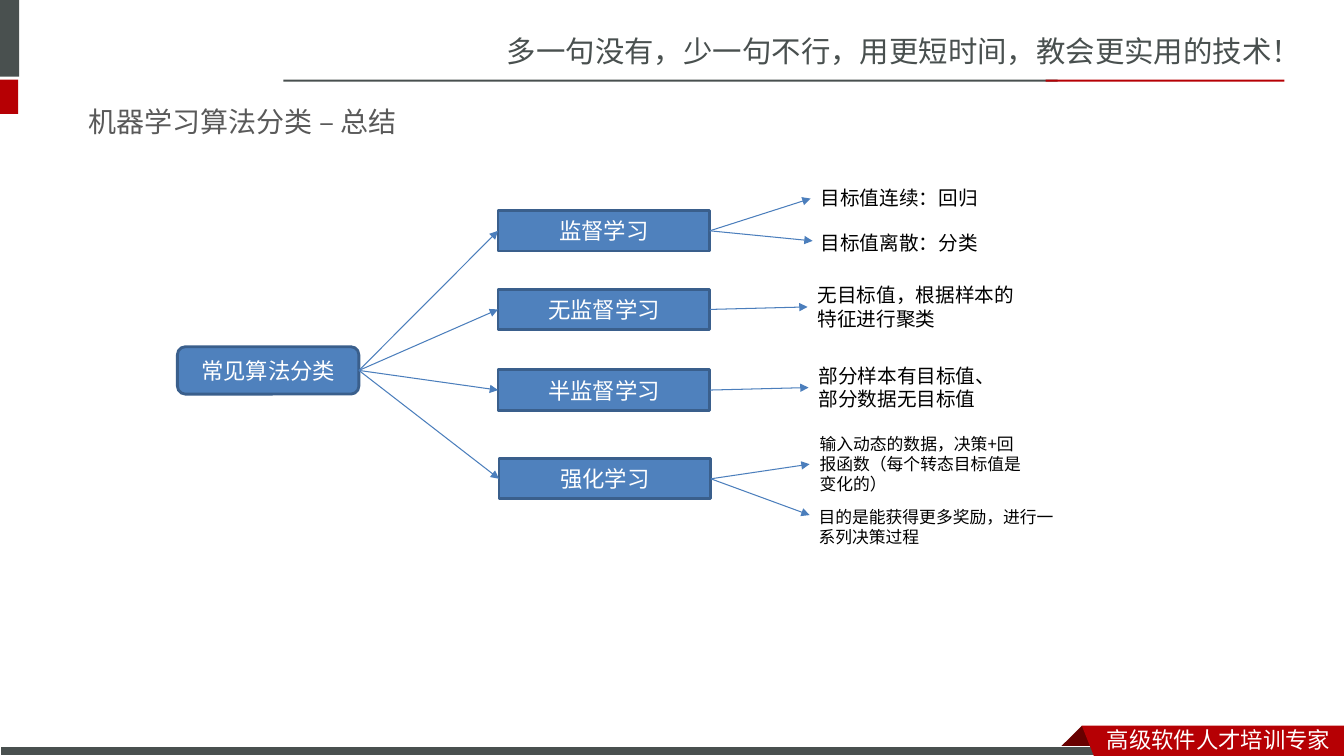
from dataclasses import dataclass

from lxml import etree
from pptx import Presentation
from pptx import util as u
from pptx.dml.color import RGBColor
from pptx.enum import shapes, text
from pptx.oxml.ns import qn

PX = 9144  # EMU per px, 100 px to the inch


@dataclass(frozen=True)
class Theme:
    grey: str = "49504F"
    red: str = "B60004"
    dark_red: str = "680000"
    white: str = "FFFFFF"
    black: str = "000000"
    title: str = "595959"
    node: str = "4F81BD"
    node_edge: str = "3A5F8C"
    arrow: str = "4B7EBC"
    cjk_font: str = "Noto Sans CJK SC"
    title_font: str = "Lato"
    node_font: str = "Calibri"
    slogan_size: int = 21
    title_size: int = 20
    node_size: int = 16
    note_size: int = 14
    small_size: int = 12


THEME = Theme()

# Branch: name, box, notes; note: paragraphs, box, size, arrow tip (None = middle of left side)
BRANCHES = [
    ("监督学习", (494, 209, 210, 40), [
        (["目标值连续：回归"], (804, 180, 210, 34), THEME.note_size, None),
        (["目标值离散：分类"], (804, 224, 224, 34), THEME.note_size, (806, 239)),
    ]),
    ("无监督学习", (494, 287, 210, 40), [
        (["无目标值，根据样本的特征进行聚类"], (801, 276, 219, 57), THEME.note_size, None),
    ]),
    ("半监督学习", (494, 367, 210, 40), [
        (["部分样本有目标值、", "部分数据无目标值"], (802, 356, 226, 57), THEME.note_size, None),
    ]),
    ("强化学习", (495, 455, 210, 40), [
        (["输入动态的数据，决策+回报函数（每个转态目标值是变化的）"],
         (803, 425, 225, 71), THEME.small_size, None),
        (["目的是能获得更多奖励，进行一系列决策过程"],
         (802, 498, 263, 50), THEME.small_size, (803, 511)),
    ]),
]


def px(*lengths):
    return [u.Emu(length * PX) for length in lengths]


def rgb(colour):
    return RGBColor.from_string(colour)


def paint(shape, fill, edge=None, width=0):
    shape.shadow.inherit = False
    shape.fill.solid()
    shape.fill.fore_color.rgb = rgb(fill)
    if edge:
        shape.line.color.rgb = rgb(edge)
        shape.line.width = u.Pt(width)
    else:
        shape.line.fill.background()


def write(shape, lines, size, colour, font=THEME.cjk_font,
          align=text.PP_ALIGN.LEFT, anchor=text.MSO_ANCHOR.TOP):
    frame = shape.text_frame
    frame.word_wrap = True
    frame.vertical_anchor = anchor
    for index, line in enumerate(lines):
        para = frame.paragraphs[0] if index == 0 else frame.add_paragraph()
        para.alignment = align
        span = para.add_run()
        span.text = line
        span.font.size = u.Pt(size)
        span.font.color.rgb = rgb(colour)
        span.font.name = font
        east_asian = etree.SubElement(span.font._element, qn("a:ea"))
        east_asian.set("typeface", THEME.cjk_font)


def add_text(page, box, lines, size, colour, **style):
    area = page.shapes.add_textbox(*px(*box))
    write(area, lines, size, colour, **style)
    return area


def add_bar(page, box, fill, edge=None, width=0):
    bar = page.shapes.add_shape(shapes.MSO_SHAPE.RECTANGLE, *px(*box))
    paint(bar, fill, edge, width)


def add_polygon(page, points, fill):
    builder = page.shapes.build_freeform(*points[0], scale=PX)
    builder.add_line_segments(points[1:], close=True)
    paint(builder.convert_to_shape(), fill)


def add_node(page, box, name, preset):
    node = page.shapes.add_shape(preset, *px(*box))
    paint(node, THEME.node, THEME.node_edge, 2)
    write(node, [name], THEME.node_size, THEME.white, font=THEME.node_font,
          align=text.PP_ALIGN.CENTER, anchor=text.MSO_ANCHOR.MIDDLE)
    return node


def add_arrow(page, source, target, tip=None):
    """Run from the right side of source to tip, or to the left side of target."""
    end = px(*(tip or (0, 0)))
    arrow = page.shapes.add_connector(shapes.MSO_CONNECTOR.STRAIGHT, 0, 0, *end)
    arrow.begin_connect(source, 3)
    if tip is None:
        arrow.end_connect(target, 1)
    arrow.line.color.rgb = rgb(THEME.arrow)
    arrow.line.width = u.Pt(0.75)
    etree.SubElement(arrow.line._get_or_add_ln(), qn("a:tailEnd")).set("type", "triangle")
    etree.SubElement(arrow._element.spPr, qn("a:effectLst"))


def add_header(page, left, top, width):
    add_text(page, (left + 493, top + 28, width - 493, 47),
             ["多一句没有，少一句不行，用更短时间，教会更实用的技术！"],
             THEME.slogan_size, THEME.grey)
    add_bar(page, (left, top, 19, 76), THEME.grey)
    add_bar(page, (left, top + 79, 18, 34), THEME.red)
    add_bar(page, (left + 281, top + 79, 768, 2), THEME.grey)
    add_bar(page, (left + 1037, top + 79, 237, 2), THEME.red)


def add_footer(page, left, top, width, height):
    right, bottom = left + width, top + height
    fold = left + 1073
    add_polygon(page, [(fold, top), (fold + 22, top + 22), (fold + 21, top + 23),
                       (fold - 21, top + 23), (fold - 22, top + 22)], THEME.dark_red)
    add_bar(page, (left, top + 21, 1099, height - 21), THEME.grey, THEME.white, 0.75)
    add_polygon(page, [(fold, top), (right, top), (right, bottom), (fold + 12, bottom)],
                THEME.red)
    add_text(page, (fold + 15, top - 5, right - fold - 15, 35), ["高级软件人才培训专家"],
             THEME.node_size, THEME.white)


def add_tree(page, left, top):
    """Draw the root, its branches and their notes, all relative to the corner given."""
    def place(x, y, *size):
        return (left + x, top + y, *size)

    root = add_node(page, place(176, 344, 180, 47), "常见算法分类",
                    shapes.MSO_SHAPE.ROUNDED_RECTANGLE)
    for name, box, notes in BRANCHES:
        branch = add_node(page, place(*box), name, shapes.MSO_SHAPE.RECTANGLE)
        add_arrow(page, root, branch)
        for lines, note_box, size, tip in notes:
            note = add_text(page, place(*note_box), lines, size, THEME.black)
            add_arrow(page, branch, note, tip and place(*tip))


def main():
    deck = Presentation()
    deck.slide_width, deck.slide_height = px(1333, 750)
    page = deck.slides.add_slide(deck.slide_layouts[6])
    add_header(page, 0, 0, 1333)
    add_footer(page, 0, 720, 1333, 30)
    add_text(page, (78, 92, 1038, 57), ["机器学习算法分类 – 总结"], THEME.title_size,
             THEME.title, font=THEME.title_font, anchor=text.MSO_ANCHOR.MIDDLE)
    add_tree(page, 0, 0)
    deck.save("out.pptx")


if __name__ == "__main__":
    main()
